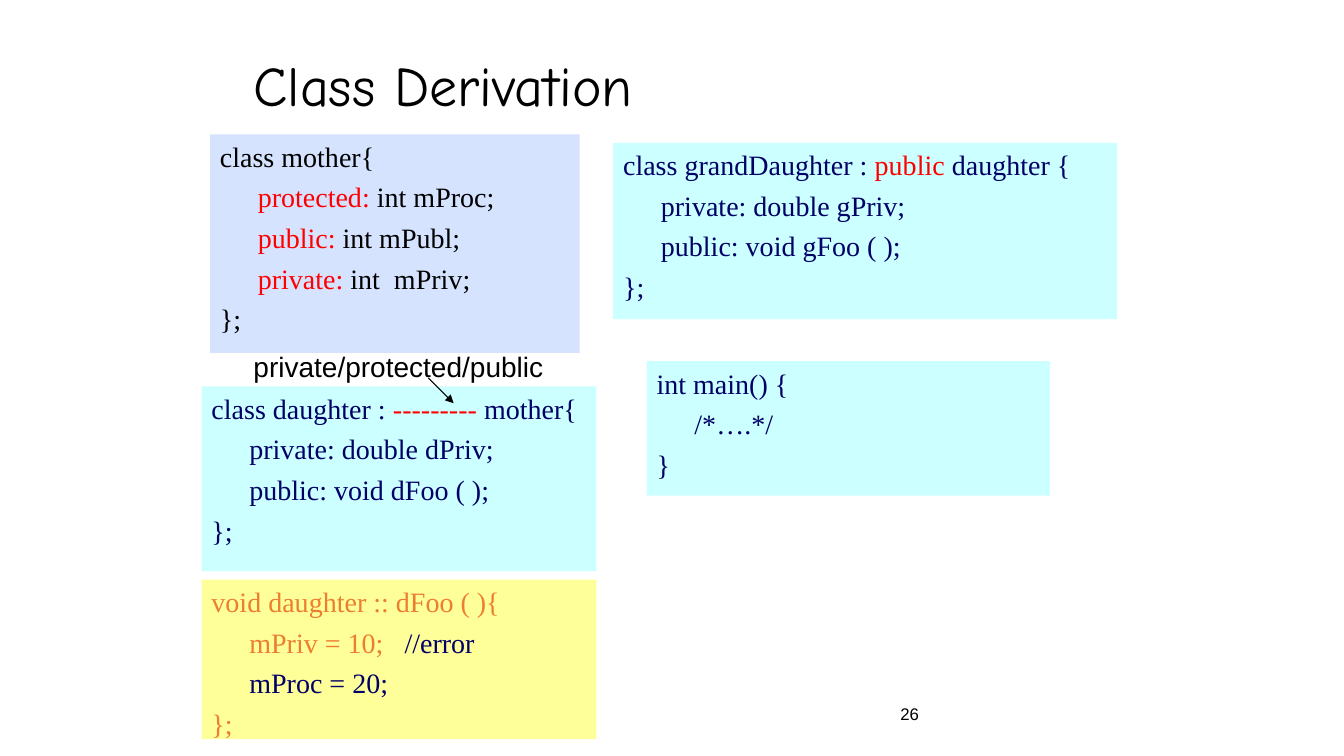
"""Build the Class Derivation slide with its code boxes."""
from lxml.etree import SubElement
from pptx import Presentation
from pptx.dml.color import RGBColor
from pptx.enum.shapes import MSO_CONNECTOR, MSO_SHAPE
from pptx.enum.text import MSO_ANCHOR, PP_ALIGN
from pptx.oxml.ns import qn
from pptx.util import Pt

PX = 9525
INDENT = 36
BLACK = RGBColor(0x00, 0x00, 0x00)
RED = RGBColor(0xFF, 0x00, 0x00)
NAVY = RGBColor(0x00, 0x00, 0x66)
ORANGE = RGBColor(0xED, 0x7D, 0x31)
BLUE = RGBColor(0xD5, 0xE3, 0xFF)
CYAN = RGBColor(0xCC, 0xFF, 0xFF)
YELLOW = RGBColor(0xFF, 0xFF, 0x99)

LABELS = [
    ("26", (848, 656, 200, 48), "Arial", 12, MSO_ANCHOR.MIDDLE, 1.0),
    ("Class Derivation", (232, 48, 816, 72), "Comic Neue", 40, MSO_ANCHOR.MIDDLE, 0.9),
    ("private/protected/public", (232, 328, 336, 41), "Arial", 20, MSO_ANCHOR.TOP, 1.0),
]

# Each line of code is its indent level and its coloured pieces.
CODE = [
    ((200, 128, 352, 208), BLUE, [
        (0, [("class mother{", BLACK)]),
        (1, [("protected: ", RED), ("int mProc;", BLACK)]),
        (1, [("public: ", RED), ("int mPubl;", BLACK)]),
        (1, [("private: ", RED), ("int  mPriv;", BLACK)]),
        (0, [("};", BLACK)]),
    ]),
    ((192, 368, 376, 176), CYAN, [
        (0, [("class daughter : ", NAVY), ("---------", RED), (" mother{", NAVY)]),
        (1, [("private: double dPriv;", NAVY)]),
        (1, [("public: void dFoo ( );", NAVY)]),
        (0, [("};", NAVY)]),
    ]),
    ((192, 552, 376, 152), YELLOW, [
        (0, [("void daughter :: dFoo ( ){", ORANGE)]),
        (1, [("mPriv = 10;", ORANGE), ("   //error", NAVY)]),
        (1, [("mProc = 20;", NAVY)]),
        (0, [("};", ORANGE)]),
    ]),
    ((616, 344, 384, 128), CYAN, [
        (0, [("int main() {", NAVY)]),
        (1, [("/*….*/", NAVY)]),
        (0, [("}", NAVY)]),
    ]),
    ((584, 136, 480, 168), CYAN, [
        (0, [("class grandDaughter : ", NAVY), ("public", RED), (" daughter {", NAVY)]),
        (1, [("private: double gPriv;", NAVY)]),
        (1, [("public: void gFoo ( );", NAVY)]),
        (0, [("};", NAVY)]),
    ]),
]
ARROW = (408, 360, 432, 384)


def scale(box):
    return [n * PX for n in box]


def add_run(para, text, name, size, color):
    run = para.add_run()
    run.text = text
    for key, value in {"name": name, "size": Pt(size)}.items():
        setattr(run.font, key, value)
    run.font.color.rgb = color


def add_code(slide, box, fill, lines):
    shape = slide.shapes.add_shape(MSO_SHAPE.RECTANGLE, *scale(box))
    shape.shadow.inherit = False
    shape.fill.solid()
    shape.fill.fore_color.rgb = fill
    shape.line.fill.background()
    frame = shape.text_frame
    frame.word_wrap = True
    frame.vertical_anchor = MSO_ANCHOR.TOP
    for i, (level, parts) in enumerate(lines):
        para = frame.add_paragraph() if i else frame.paragraphs[0]
        para.alignment = PP_ALIGN.LEFT
        para.space_before = Pt(5 if i else 0)
        if level:
            para._p.get_or_add_pPr().set("marL", str(level * INDENT * PX))
        for text, color in parts:
            add_run(para, text, "Times New Roman", 20, color)


def add_label(slide, text, box, name, size, anchor, spacing):
    frame = slide.shapes.add_textbox(*scale(box)).text_frame
    frame.word_wrap = True
    frame.vertical_anchor = anchor
    para = frame.paragraphs[0]
    para.line_spacing = spacing
    add_run(para, text, name, size, BLACK)


def add_arrow(slide, ends):
    arrow = slide.shapes.add_connector(MSO_CONNECTOR.STRAIGHT, *scale(ends))
    arrow.line.color.rgb = BLACK
    arrow.line.width = Pt(0.75)
    SubElement(arrow.line._get_or_add_ln(), qn("a:tailEnd"), type="triangle")
    SubElement(arrow._element.spPr, qn("a:effectLst"))


def main():
    deck = Presentation()
    deck.slide_width, deck.slide_height = scale((1280, 720))
    slide = deck.slides.add_slide(deck.slide_layouts[6])
    for item in CODE:
        add_code(slide, *item)
    for item in LABELS:
        add_label(slide, *item)
    add_arrow(slide, ARROW)
    deck.save("out.pptx")


if __name__ == "__main__":
    main()
